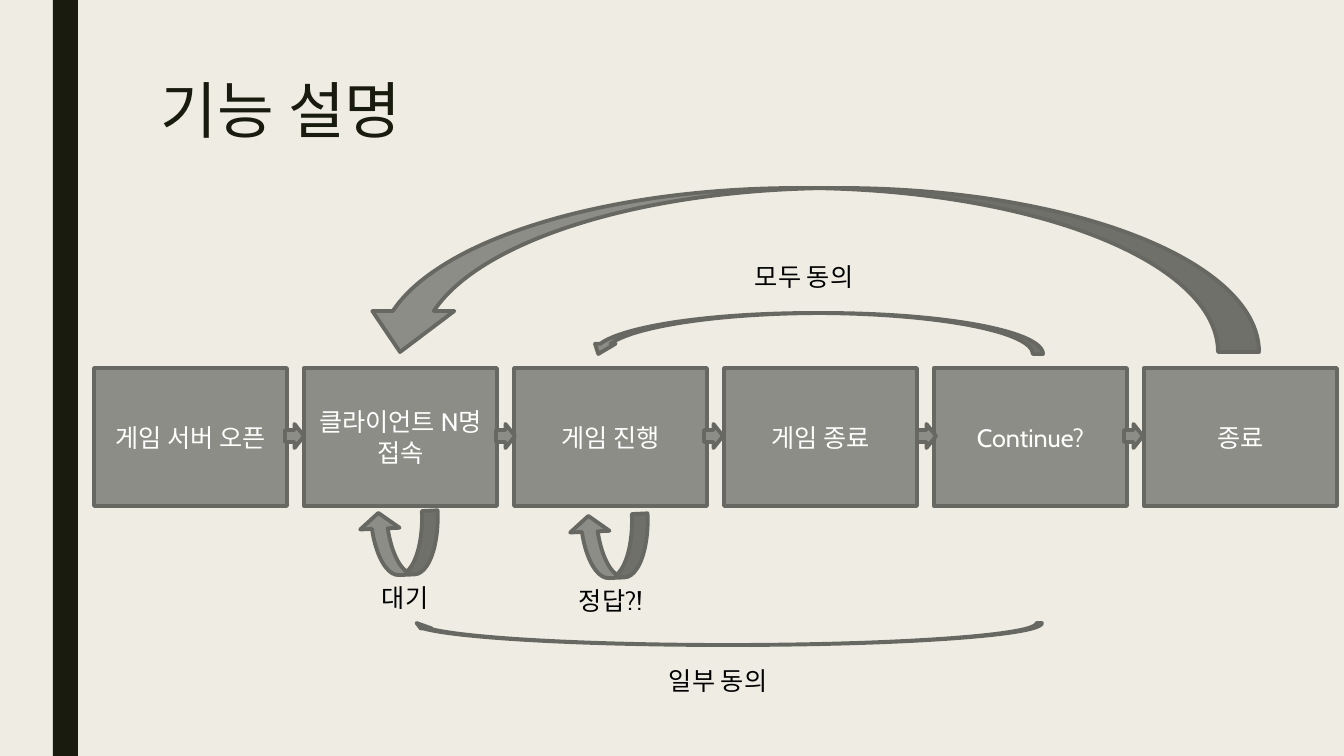
from pptx import Presentation
from pptx.dml.color import RGBColor
from pptx.enum.shapes import MSO_SHAPE
from pptx.enum.text import MSO_ANCHOR, PP_ALIGN
from pptx.util import Pt

PX = 914400 / 100.8  # EMU in one px
FONT = "Cabin"
CREAM = RGBColor(0xEF, 0xED, 0xE3)
DARK = RGBColor(0x19, 0x1B, 0x0E)
GRAY = RGBColor(0x8C, 0x8D, 0x86)
EDGE = RGBColor(0x68, 0x68, 0x63)
WHITE = RGBColor(0xFF, 0xFF, 0xFF)
BLACK = RGBColor(0, 0, 0)

STEPS = ["게임 서버 오픈", "클라이언트 N명 접속", "게임 진행",
         "게임 종료", "Continue?", "종료"]
STEP_LEFT, STEP_PITCH, STEP_TOP, STEP_W, STEP_H = 94, 210, 368, 193, 138
NEXT_LEFTS = [285, 496, 704, 917, 1124]

# Curved arrows: preset, box in px, rotation, adjustments
LOOP_ADJ = [0.25, 0.625, 0.25]
RETURNS = [
    (MSO_SHAPE.CURVED_DOWN_ARROW, (360, 512, 79, 63), 177.5, LOOP_ADJ),
    (MSO_SHAPE.CURVED_DOWN_ARROW, (570, 515, 79, 63), 177.5, LOOP_ADJ),
    (MSO_SHAPE.CURVED_UP_ARROW, (588, 313, 455, 41), 180, []),
    (MSO_SHAPE.CURVED_DOWN_ARROW, (411, 623, 631, 22), 180, []),
    (MSO_SHAPE.CURVED_UP_ARROW, (359, 188, 900, 164), 180, []),
]
LABELS = [
    ("대기", (372, 577, 95, 40)),
    ("정답?!", (569, 580, 120, 40)),
    ("모두 동의", (745, 256, 155, 40)),
    ("일부 동의", (659, 660, 133, 40)),
]


def emu(box):
    return [round(v * PX) for v in box]


def write(tf, text, size, color, **para):
    tf.word_wrap = True
    p = tf.paragraphs[0]
    for name, value in para.items():
        setattr(p, name, value)
    r = p.add_run()
    r.text = text
    for name, value in {"name": FONT, "size": Pt(size)}.items():
        setattr(r.font, name, value)
    r.font.color.rgb = color


def add_block(s, preset, box, fill=GRAY, edge=EDGE, rotation=0, adj=()):
    sp = s.shapes.add_shape(preset, *emu(box))
    sp.shadow.inherit = False
    sp.rotation = rotation
    for i, value in enumerate(adj):
        sp.adjustments[i] = value
    sp.fill.solid()
    sp.fill.fore_color.rgb = fill
    if edge is None:
        sp.line.fill.background()
    else:
        sp.line.color.rgb = edge
        sp.line.width = Pt(2.75)
    return sp


def add_step(s, text, left):
    sp = add_block(s, MSO_SHAPE.RECTANGLE, (left, STEP_TOP, STEP_W, STEP_H))
    sp.text_frame.vertical_anchor = MSO_ANCHOR.MIDDLE
    write(sp.text_frame, text, 18, WHITE, alignment=PP_ALIGN.CENTER)


def add_label(s, text, box, size=18, color=BLACK, **para):
    tb = s.shapes.add_textbox(*emu(box))
    write(tb.text_frame, text, size, color, **para)


def main():
    prs = Presentation()
    prs.slide_width, prs.slide_height = emu((1344, 756))
    s = prs.slides.add_slide(prs.slide_layouts[6])

    # Background, side bar and title
    s.background.fill.solid()
    s.background.fill.fore_color.rgb = CREAM
    add_block(s, MSO_SHAPE.RECTANGLE, (53, 0, 25, 756), DARK, None)
    add_label(s, "기능 설명", (151, 76, 1058, 163), 44, DARK, line_spacing=0.89)

    # Game steps in a row
    for i, text in enumerate(STEPS):
        add_step(s, text, STEP_LEFT + i * STEP_PITCH)

    # Arrows to the next step
    for left in NEXT_LEFTS:
        add_block(s, MSO_SHAPE.RIGHT_ARROW, (left, 424, 19, 24))

    # Loops and returns with their labels
    for preset, box, rotation, adj in RETURNS:
        add_block(s, preset, box, rotation=rotation, adj=adj)
    for text, box in LABELS:
        add_label(s, text, box)

    prs.save("out.pptx")


if __name__ == "__main__":
    main()
